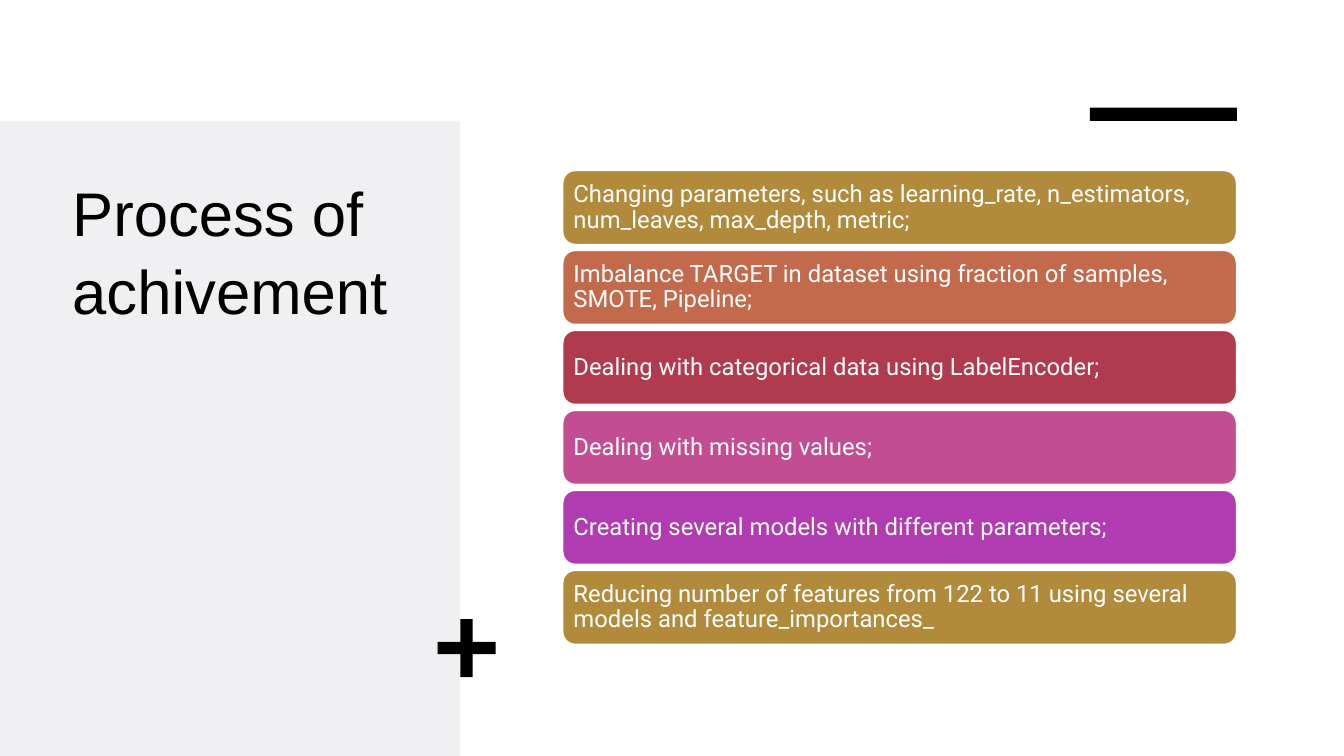
from dataclasses import dataclass

from pptx import Presentation
from pptx.dml.color import RGBColor
from pptx.enum.shapes import MSO_SHAPE
from pptx.enum.text import MSO_ANCHOR, PP_ALIGN
from pptx.util import Inches, Pt

RECTANGLE = MSO_SHAPE.RECTANGLE
ROUNDED = MSO_SHAPE.ROUNDED_RECTANGLE
PLUS = MSO_SHAPE.CROSS
LEFT = PP_ALIGN.LEFT
TOP = MSO_ANCHOR.TOP
MIDDLE = MSO_ANCHOR.MIDDLE

COLUMNS, ROWS = 160, 90
TITLE_ONLY = 5


@dataclass(frozen=True)
class Theme:
    panel: str = "F0F0F3"
    ink: str = "000000"
    paper: str = "FFFFFF"
    cards: tuple = ("B18A3B", "C36A4D", "B13B4E", "C34D92", "B13BB1")
    title_font: str = "Arial"
    body_font: str = "Roboto"
    title_size: int = 44
    body_size: int = 17


class SlideBuilder:
    """Places elements on a grid of COLUMNS by ROWS."""

    def __init__(self, presentation, theme):
        self.theme = theme
        self.column = presentation.slide_width / COLUMNS
        self.row = presentation.slide_height / ROWS
        self.slide = presentation.slides.add_slide(
            presentation.slide_layouts[TITLE_ONLY])

    def box(self, left, top, width, height):
        return (round(left * self.column), round(top * self.row),
                round(width * self.column), round(height * self.row))

    def add_text(self, shape, text, font, size, color, anchor, spacing):
        frame = shape.text_frame
        frame.word_wrap = True
        frame.vertical_anchor = anchor
        paragraph = frame.paragraphs[0]
        paragraph.alignment = LEFT
        paragraph.line_spacing = spacing
        run = paragraph.add_run()
        run.text = text
        run.font.name = font
        run.font.size = Pt(size)
        run.font.color.rgb = RGBColor.from_string(color)

    def block(self, kind, area, color):
        shape = self.slide.shapes.add_shape(kind, *self.box(*area))
        shape.shadow.inherit = False
        shape.fill.solid()
        shape.fill.fore_color.rgb = RGBColor.from_string(color)
        shape.line.fill.background()
        return shape

    def title(self, area, text):
        """Fill the title placeholder and bring it in front of the panel."""
        title = self.slide.shapes.title
        title.left, title.top, title.width, title.height = self.box(*area)
        self.add_text(title, text, self.theme.title_font,
                      self.theme.title_size, self.theme.ink, TOP, 1.05)
        title.element.getparent().append(title.element)

    def card(self, area, text, color):
        card = self.block(ROUNDED, area, color)
        card.line.color.rgb = RGBColor.from_string(self.theme.paper)
        card.line.width = Pt(1)
        # The rounded corners add their own inset to the text area.
        frame = card.text_frame
        frame.margin_left = frame.margin_right = Inches(0.07)
        frame.margin_top = frame.margin_bottom = Inches(0.04)
        self.add_text(card, text, self.theme.body_font, self.theme.body_size,
                      self.theme.paper, MIDDLE, 0.9)

    def card_stack(self, left, top, width, height, step, texts):
        colors = self.theme.cards
        for index, text in enumerate(texts):
            self.card((left, top + index * step, width, height), text,
                      colors[index % len(colors)])


STEPS = (
    "Changing parameters, such as learning_rate, n_estimators, "
    "num_leaves, max_depth, metric;",
    "Imbalance TARGET in dataset using fraction of samples, SMOTE, Pipeline;",
    "Dealing with categorical data using LabelEncoder;",
    "Dealing with missing values;",
    "Creating several models with different parameters;",
    "Reducing number of features from 122 to 11 using several models "
    "and feature_importances_",
)


def main():
    presentation = Presentation()
    presentation.slide_width = Inches(13.33)
    presentation.slide_height = Inches(7.5)
    theme = Theme()
    builder = SlideBuilder(presentation, theme)

    builder.block(RECTANGLE, (0, 14.4, 54.8, 75.6), theme.panel)
    builder.title((7.4, 19.8, 42, 52.8), "Process of achivement")
    builder.block(RECTANGLE, (129.75, 12.8, 17.5, 1.6), theme.ink)
    plus = builder.block(PLUS, (52.1, 73.7, 6.9, 6.9), theme.ink)
    plus.adjustments[0] = 0.395
    builder.card_stack(67, 20.3, 80.2, 8.8, 9.52, STEPS)

    presentation.save("out.pptx")


if __name__ == "__main__":
    main()
